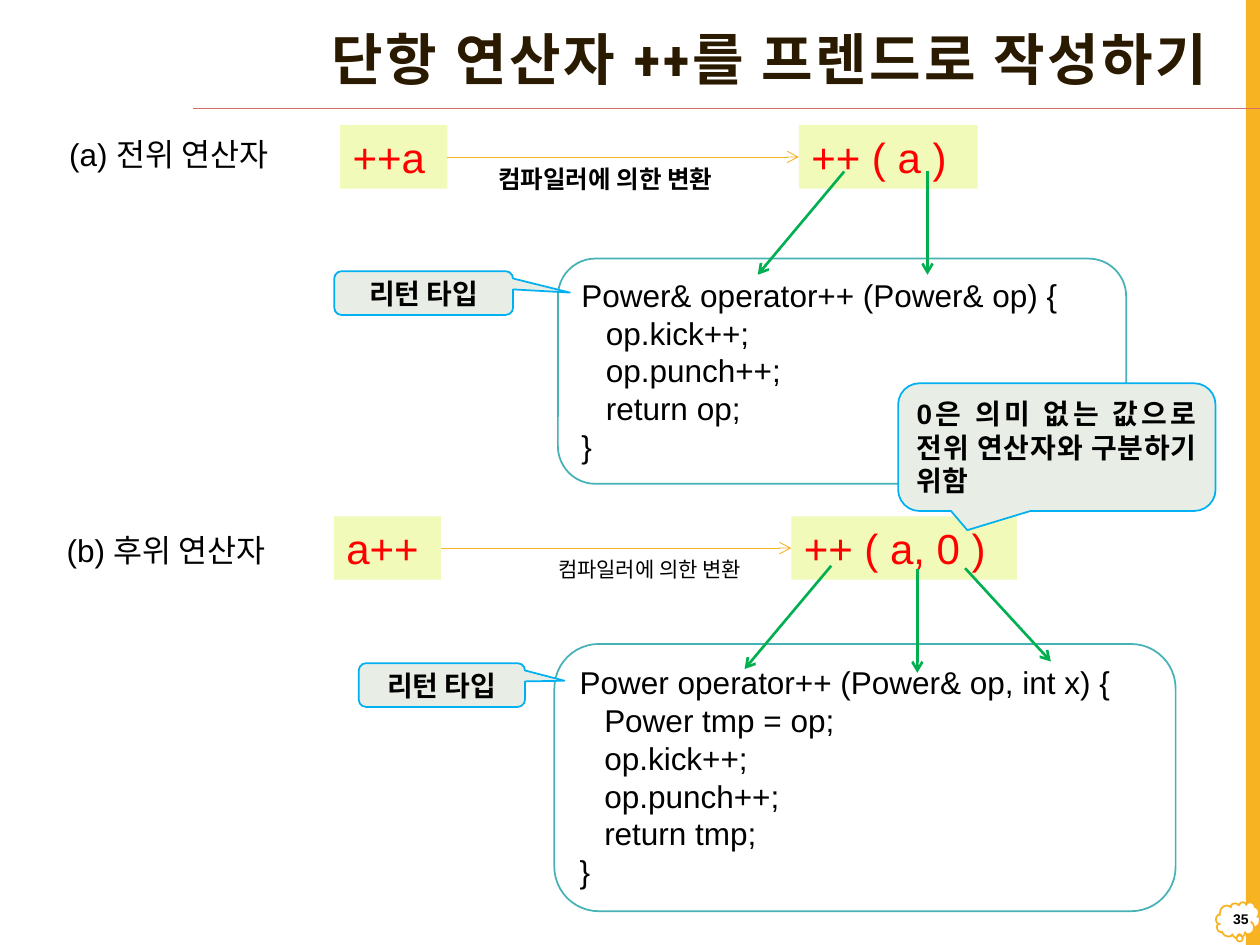
import pptx
import pptx.util
import pptx.dml.color
import pptx.enum.shapes
import pptx.enum.text
import pptx.oxml.ns
from dataclasses import dataclass
from lxml import etree

Pt = pptx.util.Pt
Kind = pptx.enum.shapes.MSO_SHAPE
Align = pptx.enum.text.PP_ALIGN
Anchor = pptx.enum.text.MSO_ANCHOR
Fit = pptx.enum.text.MSO_AUTO_SIZE
qn = pptx.oxml.ns.qn


@dataclass(frozen=True)
class Theme:
    font: str = "Arial"
    head: str = "Roboto Condensed"
    ink: str = "000000"
    brown: str = "2A1A00"
    white: str = "FFFFFF"
    gold: str = "F8B323"
    rose: str = "D36F68"
    red: str = "FF0000"
    lime: str = "F1FAB8"
    teal: str = "46B2B5"
    sage: str = "E8EEE5"
    sky: str = "00B0F0"
    green: str = "00B050"
    title: int = 32
    term: int = 24
    body: int = 18
    note: int = 16
    label: int = 14
    small: int = 12
    tiny: int = 8


T = Theme()


def rgb(code):
    return pptx.dml.color.RGBColor.from_string(code)


def write(shape, text, size=T.body, color=T.ink, font=T.font, bold=False,
          align=Align.LEFT, anchor=Anchor.TOP, wrap=True, fit=Fit.NONE,
          tab=None, space=None, track=None):
    """Fill a shape with text, one paragraph for each line."""
    frame = shape.text_frame
    frame.word_wrap = wrap
    frame.auto_size = fit
    frame.vertical_anchor = anchor
    for i, line in enumerate(text.split("\n")):
        para = frame.add_paragraph() if i else frame.paragraphs[0]
        para.alignment = align
        if space:
            para.line_spacing = space
        if tab:
            stops = etree.SubElement(para._p.get_or_add_pPr(), qn("a:tabLst"))
            etree.SubElement(stops, qn("a:tab"), pos=str(Pt(tab)), algn="l")
        run = para.add_run()
        run.text = line
        run.font.name = font
        run.font.size = Pt(size)
        run.font.bold = bold
        run.font.color.rgb = rgb(color)
        if track:
            run.font._element.set("spc", str(int(track * 100)))


def block(slide, kind, box, fill, edge=None, adj=()):
    shape = slide.shapes.add_shape(kind, *map(Pt, box))
    shape.shadow.inherit = False
    shape.fill.solid()
    shape.fill.fore_color.rgb = rgb(fill)
    if edge:
        shape.line.color.rgb = rgb(edge)
        shape.line.width = Pt(1)
    else:
        shape.line.fill.background()
    for i, value in enumerate(adj):
        shape.adjustments[i] = value
    return shape


def label(slide, box, text, **style):
    write(slide.shapes.add_textbox(*map(Pt, box)), text, **style)


def link(slide, start, end, color, width, arrow=True):
    line = slide.shapes.add_connector(
        pptx.enum.shapes.MSO_CONNECTOR.STRAIGHT, *map(Pt, start + end))
    line.line.color.rgb = rgb(color)
    line.line.width = Pt(width)
    props = line._element.spPr
    if arrow:
        etree.SubElement(props.find(qn("a:ln")), qn("a:tailEnd"), type="arrow")
    etree.SubElement(props, qn("a:effectLst"))


def term(slide, left, top, width, text):
    shape = block(slide, Kind.RECTANGLE, (left, top, width, 36.3), T.lime)
    write(shape, text, size=T.term, color=T.red, wrap=False,
          fit=Fit.SHAPE_TO_FIT_TEXT)


def code(slide, box, text):
    shape = block(slide, Kind.ROUNDED_RECTANGLE, box, T.white, T.teal)
    write(shape, text, tab=14, fit=Fit.SHAPE_TO_FIT_TEXT)


def callout(slide, box, tip, text, align=Align.CENTER):
    shape = block(slide, Kind.ROUNDED_RECTANGULAR_CALLOUT, box, T.sage, T.sky,
                  tip + (0.167,))
    write(shape, text, size=T.note, bold=True, align=align,
          anchor=Anchor.MIDDLE)


def frame(slide):
    """Side band, number badge, rule and title."""
    block(slide, Kind.RECTANGLE, (712, -0.5, 8, 540.5), T.gold)
    block(slide, Kind.CLOUD_CALLOUT, (694.8, 515.5, 25.2, 20.9), T.white,
          T.gold, (0.034, 0.431))
    link(slide, (720, 62), (110.2, 62), T.rose, 1, arrow=False)
    title = slide.shapes.title
    title.left, title.top = Pt(95), Pt(9.4)
    title.width, title.height = Pt(602.6), Pt(52.6)
    write(title, "단항 연산자 ++를 프렌드로 작성하기", size=T.title,
          color=T.brown, font=T.head, bold=True, align=Align.RIGHT,
          anchor=Anchor.MIDDLE, space=0.9, track=1.5)
    label(slide, (695.5, 512.6, 25.2, 25.2), "35", size=T.tiny, bold=True,
          align=Align.RIGHT, anchor=Anchor.MIDDLE)


def main():
    deck = pptx.Presentation()
    deck.slide_width, deck.slide_height = Pt(720), Pt(540)
    slide = deck.slides.add_slide(deck.slide_layouts[5])
    frame(slide)

    # Expressions and their converted forms
    for top, left, width, mid, after, call in (
            (71.5, 194.4, 102.2, 456.5, "++a", "++ ( a )"),
            (295, 190.8, 128.9, 452.2, "a++", "++ ( a, 0 )")):
        term(slide, left, top, 61.2, after)
        term(slide, mid, top, width, call)
        link(slide, (left + 61.2, top + 18.2), (mid, top + 18.2), T.gold, 0.5)

    # Operator functions
    code(slide, (318.8, 147.8, 324.7, 128.7),
         "Power& operator++ (Power& op) {\n\top.kick++;\n\top.punch++;\n"
         "\treturn op;\n}")
    code(slide, (316.8, 368, 355, 152.7),
         "Power operator++ (Power& op, int x) {\n\tPower tmp = op;\n"
         "\top.kick++;\n\top.punch++;\n\treturn tmp;\n}")

    # Captions under the conversion arrows
    grow = Fit.SHAPE_TO_FIT_TEXT
    change = "컴파일러에 의한 변환"
    label(slide, (263.5, 90, 164.9, 24.2), change, size=T.label, bold=True,
          align=Align.CENTER, fit=grow)
    label(slide, (311.8, 314.6, 148.3, 21.8), change, size=T.small, fit=grow)

    # Case names
    label(slide, (32.4, 73.5, 139, 29), "(a) 전위 연산자", wrap=False, fit=grow)
    label(slide, (31, 300, 140.4, 29), "(b) 후위 연산자", wrap=False, fit=grow)

    # Callouts
    callout(slide, (513.2, 219, 181.4, 73), (-0.282, 0.65),
            "0은 의미 없는 값으로 전위 연산자와 구분하기 위함", Align.JUSTIFY)
    callout(slide, (191, 155, 102.2, 25), (0.818, -0.011), "리턴 타입")
    callout(slide, (205, 379, 95, 25), (0.738, -0.098), "리턴 타입")

    # Arrows from each operand to its parameter
    for start, end in (((482.4, 98), (433, 157)), ((530, 98), (530, 157)),
                       ((475, 323.3), (425.5, 382.3)),
                       ((524.2, 325.4), (524.2, 384.5)),
                       ((551.5, 324.7), (600.5, 378))):
        link(slide, start, end, T.green, 1.5)

    deck.save("out.pptx")


if __name__ == "__main__":
    main()
